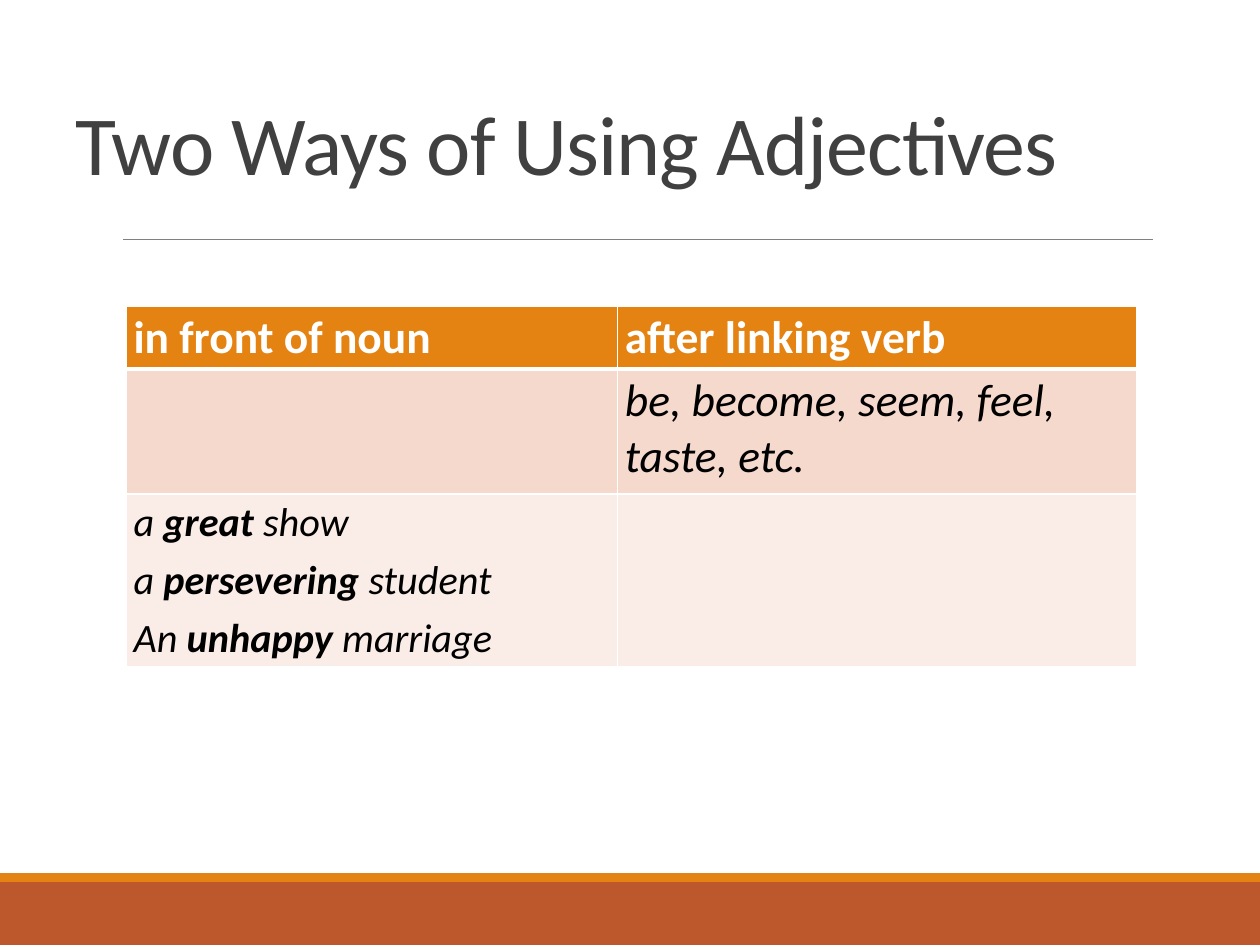
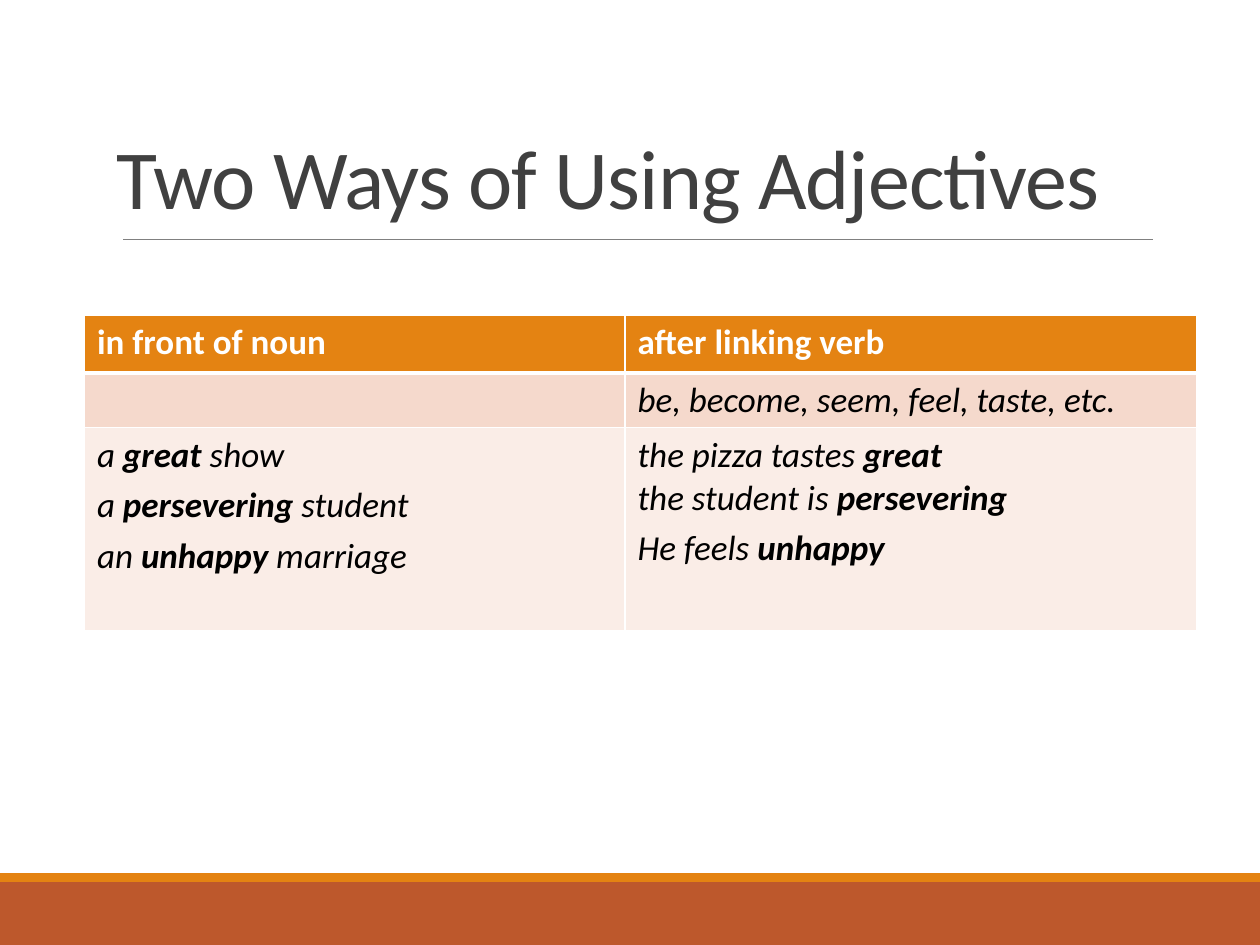
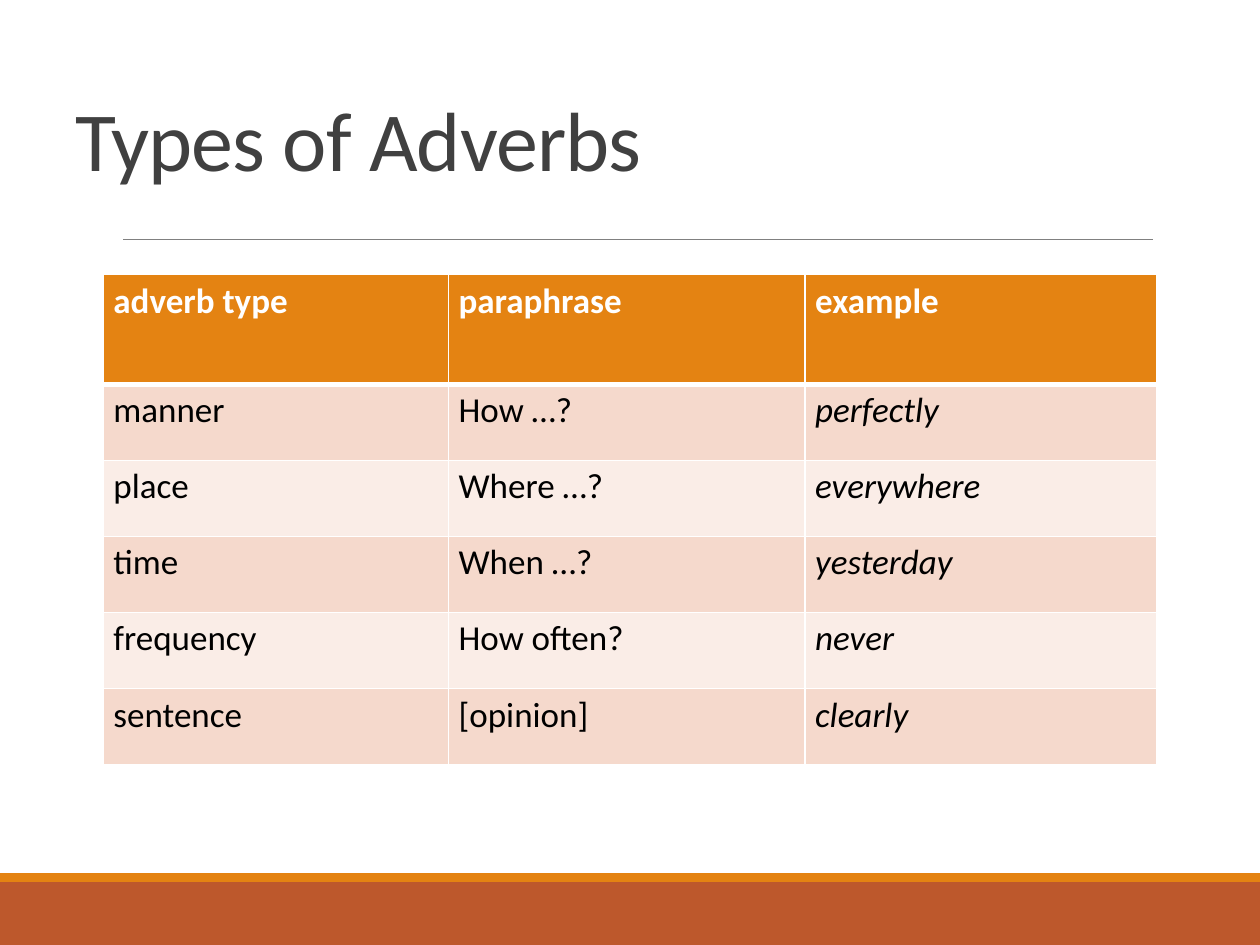
"""Builds three grammar slides: two on using adjectives and one on types of adverbs."""
from lxml import etree
from pptx import Presentation
from pptx import util as u
from pptx.dml.color import RGBColor
from pptx.enum import shapes, text
from pptx.oxml import ns

COLORS = {
    "band": "BD582C", "accent": "E48312", "rule": "808080", "title": "404040",
    "white": "FFFFFF", "black": "000000", "odd": "F5D9CC", "even": "FAEDE7",
}
FONT = "Calibri"
BANDS = [("band", 7, 0.5), ("accent", 6.93, 0.07)]
ADJECTIVE_HEAD = ["in front of noun", "after linking verb"]
LINKING_VERBS = ["", "be, become, seem, feel, taste, etc."]
BOLD_MARK, BREAK_MARK = "*", "|"

SLIDES = [
    {
        "title": "Two Ways of Using Adjectives", "title_at": (0.5, 0.33),
        "table_at": (1, 2.43), "cols": [3.9, 4.12], "heights": [0.5, 0.99, 1.37],
        "margins": (0.06, 0.03), "sizes": [26, 26, 23], "italic_from": 0,
        "rows": [
            ADJECTIVE_HEAD,
            LINKING_VERBS,
            ["a *great* show\na *persevering* student\nAn *unhappy* marriage", ""],
        ],
    },
    {
        "title": "Two Ways of Using Adjectives", "title_at": (0.83, 0.6),
        "table_at": (0.67, 2.5), "cols": [4.29, 4.54], "heights": [0.46, 0.43, 1.61],
        "margins": (0.1, 0.05), "sizes": [20] * 3, "italic_from": 0,
        "rows": [
            ADJECTIVE_HEAD,
            LINKING_VERBS,
            ["a *great* show\na *persevering* student\nan *unhappy* marriage",
             "the pizza tastes *great*|the student is *persevering*\nHe feels *unhappy*"],
        ],
    },
    {
        "title": "Types of Adverbs", "title_at": (0.5, 0.3),
        "table_at": (0.82, 2.18), "cols": [2.74, 2.83, 2.79], "heights": [0.87] + [3.02 / 5] * 5,
        "margins": (0.08, 0.04), "sizes": [20] * 6, "italic_from": 2,
        "rows": [
            ["adverb type", "paraphrase", "example"],
            ["manner", "How …?", "perfectly"],
            ["place", "Where …?", "everywhere"],
            ["time", "When …?", "yesterday"],
            ["frequency", "How often?", "never"],
            ["sentence", "[opinion]", "clearly"],
        ],
    },
]


def rgb(name):
    return RGBColor.from_string(COLORS[name])


def set_font(font, color, **values):
    font.color.rgb = rgb(color)
    for key, value in {"name": FONT, **values}.items():
        setattr(font, key, value)


def add_frame(s):
    for color, top, height in BANDS:
        sp = s.shapes.add_shape(shapes.MSO_SHAPE.RECTANGLE, 0, u.Inches(top),
                                u.Inches(10), u.Inches(height))
        sp.shadow.inherit = False
        sp.fill.solid()
        sp.fill.fore_color.rgb = rgb(color)
        sp.line.fill.background()
    rule = s.shapes.add_connector(shapes.MSO_CONNECTOR.STRAIGHT, u.Inches(0.98), u.Inches(1.9),
                                  u.Inches(9.15), u.Inches(1.9))
    rule.line.color.rgb = rgb("rule")
    rule.line.width = u.Pt(0.5)
    etree.SubElement(rule._element.spPr, ns.qn("a:effectLst"))


def add_title(s, title, at):
    tf = s.shapes.add_textbox(*map(u.Inches, (*at, 9, 1.25))).text_frame
    tf.word_wrap = True
    tf.vertical_anchor = text.MSO_ANCHOR.BOTTOM
    p = tf.paragraphs[0]
    p.line_spacing = 0.85
    r = p.add_run()
    r.text = title
    set_font(r.font, "title", size=u.Pt(48))
    r._r.get_or_add_rPr().set("spc", "-50")


def set_borders(cell, row):
    widths = {"L": 1, "R": 1, "T": 3 if row == 1 else 1, "B": 3 if row == 0 else 1}
    tcPr = cell._tc.get_or_add_tcPr()
    for i, (side, width) in enumerate(widths.items()):
        ln = etree.Element(ns.qn(f"a:ln{side}"), w=str(u.Pt(width)))
        fill = etree.SubElement(ln, ns.qn("a:solidFill"))
        etree.SubElement(fill, ns.qn("a:srgbClr"), val=COLORS["white"])
        tcPr.insert(i, ln)


def fill_text(tf, content, size, header, italic):
    for i, line in enumerate(content.split("\n")):
        p = tf.paragraphs[0] if i == 0 else tf.add_paragraph()
        if i:
            p.space_before = u.Pt(size * 0.22)
        for j, part in enumerate(line.split(BOLD_MARK)):
            for k, piece in enumerate(part.split(BREAK_MARK)):
                if k:
                    p.add_line_break()
                if piece:
                    r = p.add_run()
                    r.text = piece
                    set_font(r.font, "white" if header else "black", size=u.Pt(size),
                             bold=header or j % 2 == 1, italic=italic)


def add_table(s, data):
    cols, heights = data["cols"], data["heights"]
    frame = s.shapes.add_table(len(heights), len(cols), *map(
        u.Inches, (*data["table_at"], sum(cols), sum(heights))))
    table = frame.table
    for col, width in zip(table.columns, cols):
        col.width = u.Inches(width)
    side, edge = map(u.Inches, data["margins"])
    for i, values in enumerate(data["rows"]):
        table.rows[i].height = u.Inches(heights[i])
        fill = "accent" if i == 0 else "odd" if i % 2 else "even"
        for j, content in enumerate(values):
            cell = table.cell(i, j)
            cell.margin_left = cell.margin_right = side
            cell.margin_top = cell.margin_bottom = edge
            cell.fill.solid()
            cell.fill.fore_color.rgb = rgb(fill)
            set_borders(cell, i)
            fill_text(cell.text_frame, content, data["sizes"][i], i == 0,
                      i > 0 and j >= data["italic_from"])


def main():
    prs = Presentation()
    prs.slide_width, prs.slide_height = u.Inches(10), u.Inches(7.5)
    for data in SLIDES:
        s = prs.slides.add_slide(prs.slide_layouts[6])
        add_frame(s)
        add_title(s, data["title"], data["title_at"])
        add_table(s, data)
    prs.save("out.pptx")


if __name__ == "__main__":
    main()
